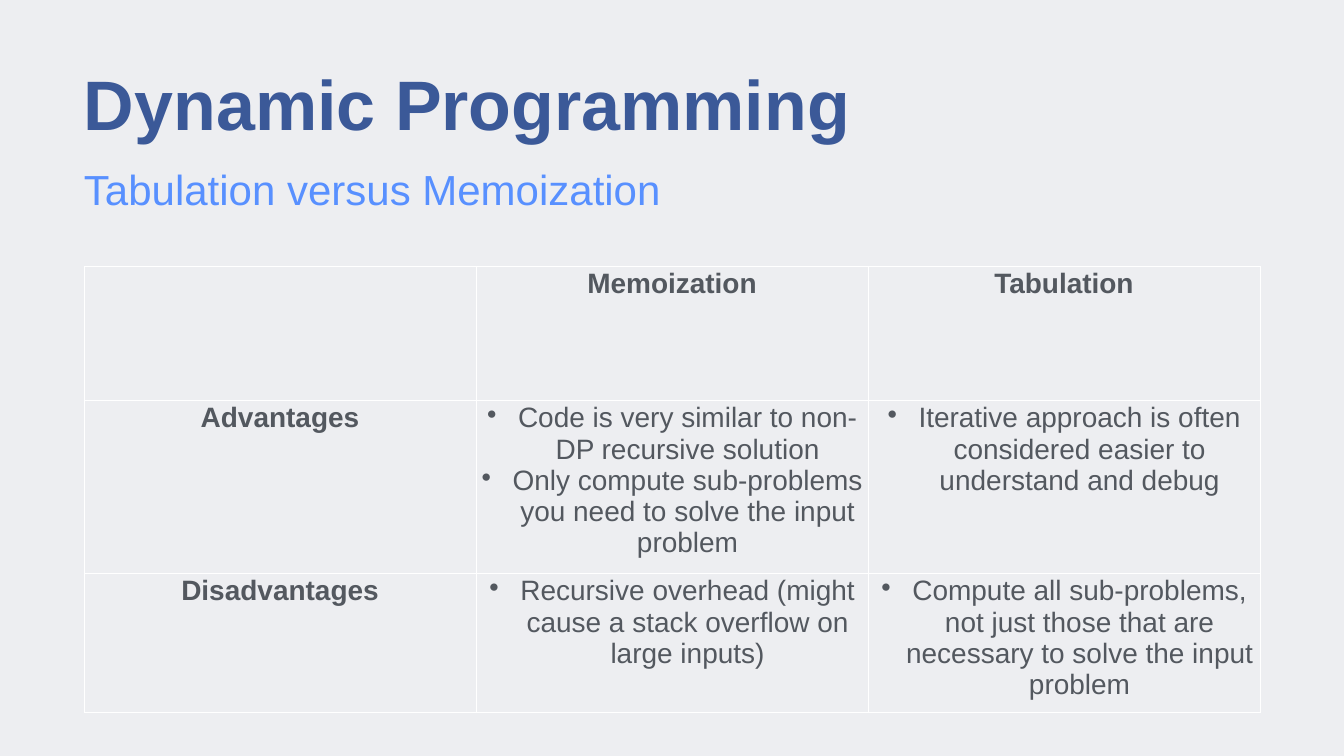
from lxml import etree
from pptx import Presentation
from pptx import util as u
from pptx.dml.color import RGBColor
from pptx.enum import text
from pptx.oxml.ns import qn

SCALE = 914400 / 50.4  # EMU per px
WIDTH, HEIGHT, MARGIN = 1344, 756, 84
COLORS = {
    "background": "EDEEF1",
    "title": "3B5998",
    "subtitle": "5890FF",
    "body": "53585F",
    "border": "FFFFFF",
}
COMPARISON = [
    ["", ["Memoization"], ["Tabulation"]],
    [
        ["Advantages"],
        ["Code is very similar to non-DP recursive solution",
         "Only compute sub-problems you need to solve the input problem"],
        ["Iterative approach is often considered easier to understand and debug"],
    ],
    [
        ["Disadvantages"],
        ["Recursive overhead (might cause a stack overflow on large inputs)"],
        ["Compute all sub-problems, not just those that are necessary to solve the input problem"],
    ],
]


def px(length):
    return u.Emu(round(length * SCALE))


def rgb(name):
    return RGBColor.from_string(COLORS[name])


def write(paragraph, words, size, color, bold=False, align=text.PP_ALIGN.LEFT,
          spacing=None, bullet=False):
    paragraph.alignment = align
    if spacing:
        paragraph.line_spacing = spacing
    if bullet:
        properties = paragraph._p.get_or_add_pPr()
        properties.set("marL", str(px(31)))
        properties.set("indent", str(-px(31)))
        etree.SubElement(properties, qn("a:buChar")).set("char", "•")
    run = paragraph.add_run()
    run.text = words
    font = run.font
    font.name, font.size, font.bold = "Arial", u.Pt(size), bold
    font.color.rgb = rgb(color)


def add_heading(slide, box, words, **style):
    frame = slide.shapes.add_textbox(*map(px, box)).text_frame
    frame.word_wrap = True
    frame.vertical_anchor = text.MSO_ANCHOR.MIDDLE
    frame.margin_left = frame.margin_top = frame.margin_right = frame.margin_bottom = 0
    write(frame.paragraphs[0], words, spacing=0.9, **style)


def add_borders(cell):
    properties = cell._tc.get_or_add_tcPr()
    for position, side in enumerate(("lnL", "lnR", "lnT", "lnB")):
        line = etree.Element(qn("a:" + side), w=str(u.Pt(1)))
        fill = etree.SubElement(line, qn("a:solidFill"))
        etree.SubElement(fill, qn("a:srgbClr")).set("val", COLORS["border"])
        properties.insert(position, line)


def add_comparison(slide, box, rows):
    left, top, width, height = box
    shape = slide.shapes.add_table(len(rows), len(rows[0]), *map(px, box))
    table = shape.table
    table.first_row = table.horz_banding = False
    for column in table.columns:
        column.width = px(width / len(rows[0]))
    for row in table.rows:
        row.height = px(height / len(rows))
    for r, row in enumerate(rows):
        for c, items in enumerate(row):
            cell = table.cell(r, c)
            cell.fill.background()
            add_borders(cell)
            is_label = r == 0 or c == 0
            frame = cell.text_frame
            for i, item in enumerate(items):
                paragraph = frame.add_paragraph() if i else frame.paragraphs[0]
                write(paragraph, item, size=40, color="body", bold=is_label,
                      align=text.PP_ALIGN.CENTER, bullet=not is_label)


def main():
    presentation = Presentation()
    presentation.slide_width, presentation.slide_height = px(WIDTH), px(HEIGHT)
    slide = presentation.slides.add_slide(presentation.slide_layouts[6])
    slide.background.fill.solid()
    slide.background.fill.fore_color.rgb = rgb("background")
    content_width = WIDTH - 2 * MARGIN

    # Headings
    add_heading(slide, (MARGIN, 57, content_width, 101), "Dynamic Programming",
                size=100, color="title", bold=True)
    add_heading(slide, (MARGIN, 161, content_width, 61), "Tabulation versus Memoization",
                size=60, color="subtitle")

    # Comparison table
    add_comparison(slide, (MARGIN, 266, content_width, 402), COMPARISON)

    presentation.save("out.pptx")


if __name__ == "__main__":
    main()
